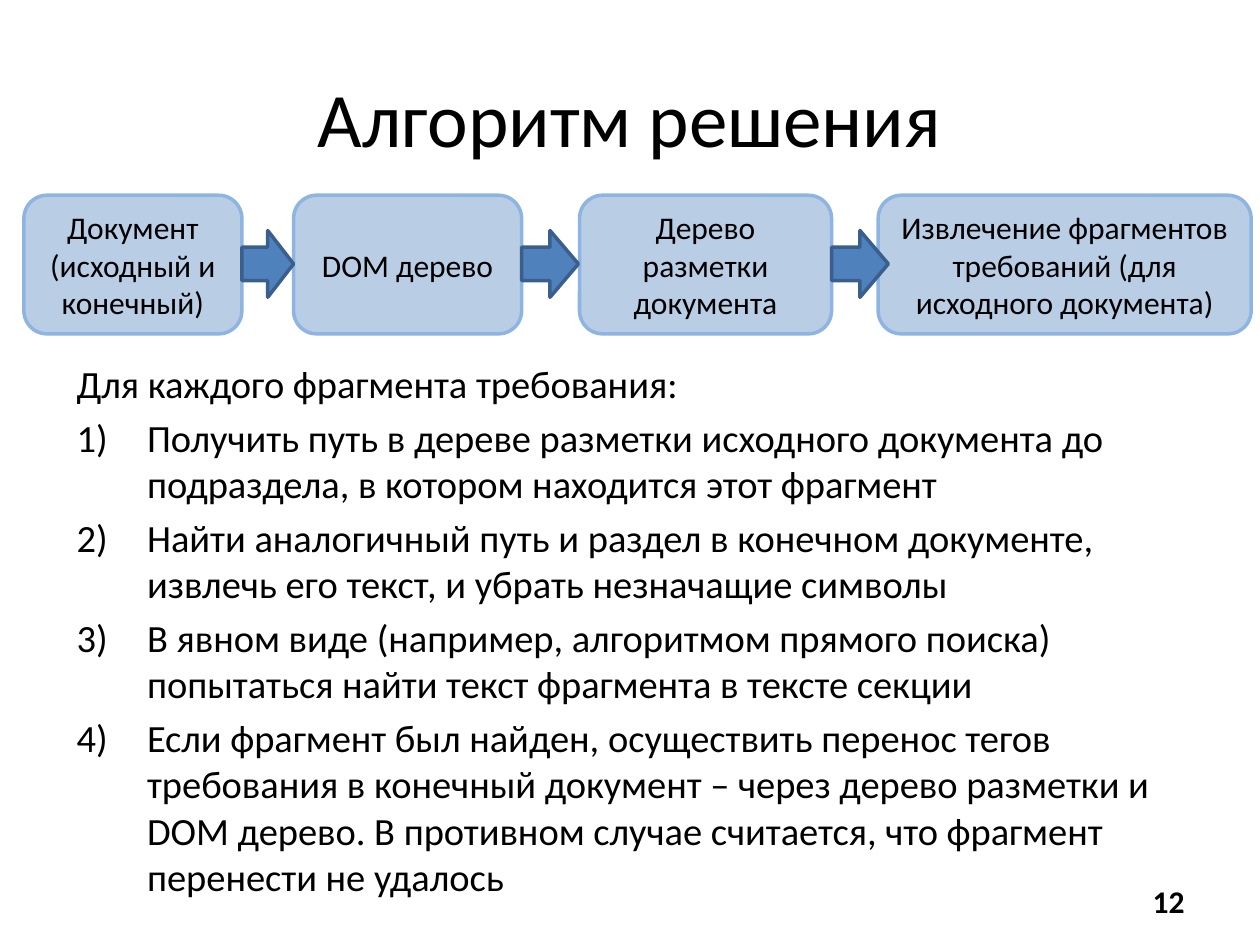
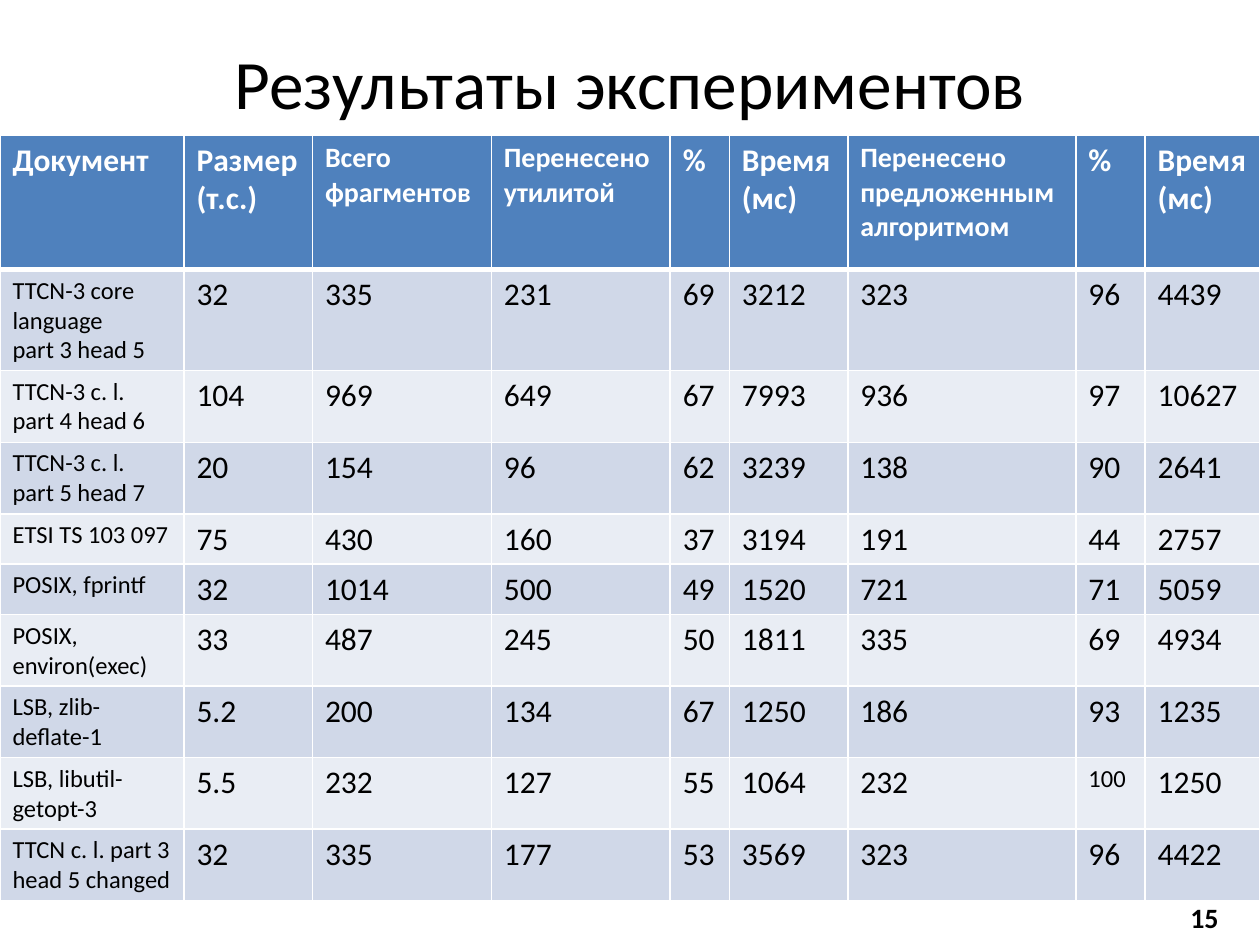
from lxml.etree import SubElement
from pptx import Presentation
from pptx.dml.color import RGBColor
from pptx.enum.shapes import MSO_SHAPE as Preset
from pptx.enum.text import MSO_ANCHOR as Anchor, PP_ALIGN as Align
from pptx.oxml.ns import qn
from pptx.util import Emu, Inches, Pt

FONT = "Calibri"
BLACK, WHITE, BLUE = "000000", "FFFFFF", "4F81BD"
STEP_FILL, STEP_LINE, ARROW_LINE = "B9CDE5", "8EB4E3", "3A5F8C"
BANDS = ["D0D8E8", "E9EDF4"]
COLUMNS, ROWS = 100, 75
UNIT = Inches(10) / COLUMNS
hex_color = RGBColor.from_string


def grid(*counts):
    """Turn counts of grid columns or rows into lengths."""
    return [Emu(round(count * UNIT)) for count in counts]


def write(frame, lines, size, color=BLACK, bold=False, align=Align.LEFT):
    """Write each line as a paragraph of one run and return the paragraphs."""
    for _ in lines[1:]:
        frame.add_paragraph()
    for paragraph, line in zip(frame.paragraphs, lines):
        paragraph.alignment = align
        run = paragraph.add_run()
        run.text = line
        run.font.name = FONT
        run.font.size = Pt(size)
        run.font.bold = bold
        run.font.color.rgb = hex_color(color)
    return frame.paragraphs


deck = Presentation()
deck.slide_width, deck.slide_height = grid(COLUMNS, ROWS)

# Shared by both slides: centred title, bold page number at lower right
headings = [
    ("Алгоритм решения", 44, 12.5, "12", 18, (71.7, 69.5)),
    ("Результаты экспериментов", 39.6, 6.9, "15", 16, (74.4, 70.8)),
]
slides = []
for title, title_size, title_height, number, number_size, corner in headings:
    slide = deck.slides.add_slide(deck.slide_layouts[6])
    slides.append(slide)
    for text, size, box, bold, align in [
        (title, title_size, (5, 3, 90, title_height), False, Align.CENTER),
        (number, number_size, (*corner, 23.3, 4), True, Align.RIGHT),
    ]:
        frame = slide.shapes.add_textbox(*grid(*box)).text_frame
        frame.word_wrap = True
        frame.vertical_anchor = Anchor.MIDDLE
        write(frame, [text], size, bold=bold, align=align)
algorithm, results = slides

# Algorithm: a chain of steps joined by block arrows
steps = [
    ("Документ (исходный и конечный)", 1.9, 17.3),
    ("DOM дерево", 23.3, 18.1),
    ("Дерево разметки документа", 46, 20),
    ("Извлечение фрагментов требований (для исходного документа)", 69.7, 29.6),
]
arrow_widths = [4.1, 4.5, 4.5]
chain = [(Preset.ROUNDED_RECTANGLE, (left, 15.5, width, 11), STEP_FILL, STEP_LINE, text)
         for text, left, width in steps]
chain += [(Preset.RIGHT_ARROW, (left + width, 18.3, arrow_width, 5.3), BLUE, ARROW_LINE, None)
          for (_, left, width), arrow_width in zip(steps, arrow_widths)]
for preset, box, fill, line, text in chain:
    link = algorithm.shapes.add_shape(preset, *grid(*box))
    link.shadow.inherit = False
    link.fill.solid()
    link.fill.fore_color.rgb = hex_color(fill)
    link.line.color.rgb = hex_color(line)
    link.line.width = Pt(2)
    if text:
        write(link.text_frame, [text], 18, align=Align.CENTER)

# Algorithm: numbered instructions under an opening line
instructions = [
    "Для каждого фрагмента требования:",
    "Получить путь в дереве разметки исходного документа до подраздела, "
    "в котором находится этот фрагмент",
    "Найти аналогичный путь и раздел в конечном документе, извлечь его текст, "
    "и убрать незначащие символы",
    "В явном виде (например, алгоритмом прямого поиска) попытаться найти "
    "текст фрагмента в тексте секции",
    "Если фрагмент был найден, осуществить перенос тегов требования в конечный "
    "документ – через дерево разметки и DOM дерево. В противном случае считается, "
    "что фрагмент перенести не удалось",
]
frame = algorithm.shapes.add_textbox(*grid(5.1, 28.1, 90, 45.7)).text_frame
frame.word_wrap = True
[indent] = grid(5.6)
for position, paragraph in enumerate(write(frame, instructions, 22)):
    paragraph.space_before = Pt(22 * 0.2)
    if position:
        properties = paragraph._p.get_or_add_pPr()
        properties.set("marL", str(indent))
        properties.set("indent", str(-indent))
        SubElement(properties, qn("a:buFont"), typeface="+mj-lt")
        SubElement(properties, qn("a:buAutoNum"), type="arabicParenR")

# Results: one row per document
header = ["Документ", "Размер (т.с.)", "Всего фрагментов", "Перенесено утилитой", "%",
          "Время (мс)", "Перенесено предложенным алгоритмом", "%", "Время(мс)"]
measurements = [
    ("TTCN-3 core language\npart 3 head 5", 32, 335, 231, 69, 3212, 323, 96, 4439),
    ("TTCN-3 c. l.\npart 4 head 6", 104, 969, 649, 67, 7993, 936, 97, 10627),
    ("TTCN-3 c. l.\npart 5 head 7", 20, 154, 96, 62, 3239, 138, 90, 2641),
    ("ETSI TS 103 097", 75, 430, 160, 37, 3194, 191, 44, 2757),
    ("POSIX, fprintf", 32, 1014, 500, 49, 1520, 721, 71, 5059),
    ("POSIX, environ(exec)", 33, 487, 245, 50, 1811, 335, 69, 4934),
    ("LSB, zlib-deflate-1", 5.2, 200, 134, 67, 1250, 186, 93, 1235),
    ("LSB, libutil-getopt-3", 5.5, 232, 127, 55, 1064, 232, 100, 1250),
    ("TTCN c. l. part 3 head 5 changed", 32, 335, 177, 53, 3569, 323, 96, 4422),
]
column_widths = grid(14.6, 10.2, 14.2, 14.2, 4.7, 9.4, 18.1, 5.5, 9.1)
row_heights = grid(10.7, 7.4, 5.7, 5.5, 3.8, 3.7, 5.3, 5.1, 5.3, 5.3)
table = results.shapes.add_table(
    len(row_heights), len(column_widths), *grid(0, 10.7, COLUMNS, 57.8)).table
table.horz_banding = False
for column, width in zip(table.columns, column_widths):
    column.width = width
for row, height in zip(table.rows, row_heights):
    row.height = height

for row, entries in enumerate([header, *measurements]):
    is_header = row == 0
    for column, entry in enumerate(entries):
        cell = table.cell(row, column)
        borders = cell._tc.get_or_add_tcPr()
        for side in "LRTB":
            thick = (row, side) in [(0, "B"), (1, "T")]
            border = SubElement(borders, qn("a:ln" + side), w=str(Pt(3 if thick else 1)))
            SubElement(SubElement(border, qn("a:solidFill")), qn("a:srgbClr"), val=WHITE)
        cell.fill.solid()
        cell.fill.fore_color.rgb = hex_color(BLUE if is_header else BANDS[(row - 1) % 2])
        if is_header:
            size = 16 if column in (2, 3, 6) else 18
        else:
            size = 14 if column == 0 or entry == 100 and column == 7 else 18
        write(cell.text_frame, str(entry).split("\n"), size,
              WHITE if is_header else BLACK, is_header)

deck.save("out.pptx")
